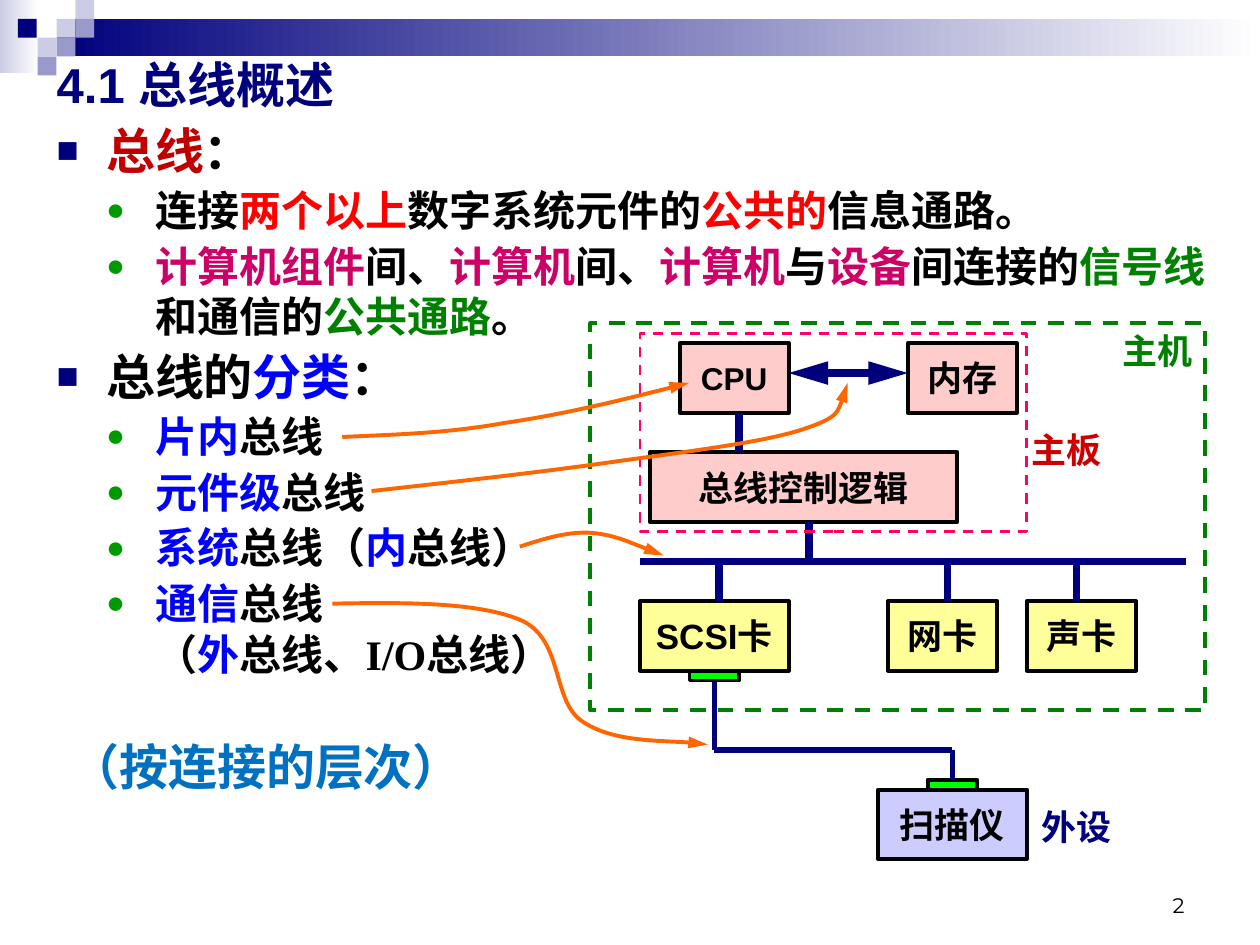
from lxml import etree
from pptx import Presentation
from pptx.dml.color import RGBColor as RGB
from pptx.enum.dml import MSO_LINE
from pptx.enum.shapes import MSO_CONNECTOR as CONN, MSO_SHAPE as SHAPE
from pptx.enum.text import MSO_ANCHOR as ANCHOR, PP_ALIGN as ALIGN
from pptx.oxml.ns import qn
from pptx.util import Cm, Pt

NAVY, LAVENDER, VIOLET = RGB(0, 0, 0x7D), RGB(0xCC, 0xCC, 0xE6), RGB(0x99, 0x99, 0xCC)
BLACK, WHITE, RED = RGB(0, 0, 0), RGB(255, 255, 255), RGB(255, 0, 0)
CRIMSON, SCARLET, MAGENTA = RGB(0xC0, 0, 0), RGB(0xCC, 0, 0), RGB(0xCC, 0, 0x66)
GREEN, DOT_GREEN, LIME = RGB(0, 0x80, 0), RGB(0, 0x99, 0), RGB(0, 255, 0)
BLUE, SKY, ORANGE = RGB(0, 0, 255), RGB(0, 0x70, 0xC0), RGB(255, 0x66, 0)
PINK, HOT_PINK = RGB(255, 0xCC, 0xCC), RGB(255, 0, 0x66)
YELLOW, PERIWINKLE = RGB(255, 255, 0x99), RGB(0xCC, 0xCC, 255)

BULLETS = [("■", NAVY, 28), ("●", DOT_GREEN, 24)]
POINTS = [
    (0, [("总线", CRIMSON), ("：", BLACK)]),
    (1, [("连接", BLACK), ("两个以上", RED), ("数字系统元件的", BLACK),
         ("公共的", RED), ("信息通路。", BLACK)]),
    (1, [("计算机组件", MAGENTA), ("间、", BLACK), ("计算机", MAGENTA), ("间、", BLACK),
         ("计算机", MAGENTA), ("与", BLACK), ("设备", MAGENTA), ("间连接的", BLACK),
         ("信号线", GREEN), ("和通信的", BLACK), ("公共通路", GREEN), ("。", BLACK)]),
    (0, [("总线的", BLACK), ("分类", BLUE), ("：", BLACK)]),
    (1, [("片内", BLUE), ("总线", BLACK)]),
    (1, [("元件级", BLUE), ("总线", BLACK)]),
    (1, [("系统", BLUE), ("总线（", BLACK), ("内", BLUE), ("总线）", BLACK)]),
    (1, [("通信", BLUE), ("总线", BLACK), None, ("（", BLACK), ("外", BLUE),
         ("总线、I/O总线）", BLACK)]),
]
POINTERS = [
    [(0.2, 1.09), (1.24, 1.04), (2.29, 1.02), (3.45, 0.81), (4.62, 0.64), (5.92, 0.33),
     (7.19, 0)],
    [(0.79, 2.18), (2.59, 1.98), (4.37, 1.78), (5.82, 1.57), (7.26, 1.37), (8.71, 1.19),
     (9.47, 0.94), (10.24, 0.69), (10.31, 0.33), (10.39, 0)],
    [(3.78, 3.3), (4.24, 3.15), (4.7, 3), (5.18, 3.02), (5.66, 3.05), (6.68, 3.48),
     (6.68, 3.48)],
    [(0, 4.45), (1.5, 4.42), (3, 4.42), (3.84, 4.8), (4.67, 5.21), (4.42, 6.43),
     (5.05, 6.83), (5.66, 7.24), (7.16, 7.21), (7.57, 7.29)],
]


def add_run(p, text, color, size, name="Arial", bold=True):
    r = p.add_run()
    r.text = text
    for key, value in {"size": Pt(size), "name": name, "bold": bold}.items():
        setattr(r.font, key, value)
    r.font.color.rgb = color


def add_rect(s, x, y, w, h, fill=None, line=None, width=2.25, dash=None):
    sp = s.shapes.add_shape(SHAPE.RECTANGLE, Cm(x), Cm(y), Cm(w), Cm(h))
    sp.shadow.inherit = False
    if fill is None:
        sp.fill.background()
    elif isinstance(fill, tuple) and not isinstance(fill, RGB):
        sp.fill.gradient()
        sp.fill.gradient_angle = 0
        for stop, color in zip(sp.fill.gradient_stops, fill):
            stop.color.rgb = color
    else:
        sp.fill.solid()
        sp.fill.fore_color.rgb = fill
    if line is None:
        sp.line.fill.background()
    else:
        sp.line.color.rgb = line
        sp.line.width = Pt(width)
        sp.line.dash_style = dash
    return sp


def add_label(s, x, y, w, h, text, color, size=20, name="Arial", bold=True,
              align=ALIGN.CENTER, anchor=ANCHOR.TOP, wrap=True):
    tf = s.shapes.add_textbox(Cm(x), Cm(y), Cm(w), Cm(h)).text_frame
    tf.word_wrap, tf.vertical_anchor = wrap, anchor
    p = tf.paragraphs[0]
    p.alignment = align
    add_run(p, text, color, size, name, bold)


def add_arrowheads(sp, *ends):
    ln = sp.line._get_or_add_ln()
    for end in ends:
        etree.SubElement(ln, qn(f"a:{end}"), type="triangle", w="med", len="lg")


def add_line(s, x1, y1, x2, y2, width=4.5):
    c = s.shapes.add_connector(CONN.STRAIGHT, Cm(x1), Cm(y1), Cm(x2), Cm(y2))
    c.line.color.rgb = NAVY
    c.line.width = Pt(width)
    etree.SubElement(c._element.spPr, qn("a:effectLst"))
    return c


def add_curve(s, points):
    start, *rest = [(Cm(x), Cm(y)) for x, y in points]
    builder = s.shapes.build_freeform(*start)
    builder.add_line_segments(rest, close=False)
    sp = builder.convert_to_shape()
    sp.shadow.inherit = False
    sp.fill.background()
    sp.line.color.rgb = ORANGE
    sp.line.width = Pt(2.25)
    add_arrowheads(sp, "tailEnd")
    segments = list(sp._element.iter(qn("a:lnTo")))
    path = segments[0].getparent()
    for i in range(0, len(segments), 3):
        bezier = etree.SubElement(path, qn("a:cubicBezTo"))
        for segment in segments[i:i + 3]:
            bezier.append(segment[0])
            path.remove(segment)


def add_banner(s, x, y, w):
    u = 0.38
    add_rect(s, x, y, 0.79, 1.47, (LAVENDER, WHITE))
    add_rect(s, x + 3 * u, y + u, w - 3 * u, 2 * u, (NAVY, WHITE))
    for col, row, color in [(3, 1, LAVENDER), (4, 0, LAVENDER), (4, 1, VIOLET),
                            (2, 2, LAVENDER), (0.95, 1, NAVY), (3, 2, VIOLET),
                            (2, 3, VIOLET)]:
        add_rect(s, x + col * u, y + row * u, u, u, color)


def add_title(s, x, y, w, h):
    sp = s.shapes.title
    for key, value in {"left": x, "top": y, "width": w, "height": h}.items():
        setattr(sp, key, Cm(value))
    tf = sp.text_frame
    tf.vertical_anchor = ANCHOR.MIDDLE
    p = tf.paragraphs[0]
    p.alignment = ALIGN.LEFT
    add_run(p, "4.1 总线概述", NAVY, 28)


def add_bullet(p, level, char, color):
    pPr = p._p.get_or_add_pPr()
    pPr.set("marL", str(Cm(level + 1)))
    pPr.set("indent", str(-Cm(1)))
    clr = etree.SubElement(pPr, qn("a:buClr"))
    etree.SubElement(clr, qn("a:srgbClr"), val=str(color))
    etree.SubElement(pPr, qn("a:buSzPct"), val="75000")
    etree.SubElement(pPr, qn("a:buFont"), typeface="Arial")
    etree.SubElement(pPr, qn("a:buChar"), char=char)


def add_points(s, x, y, w, h):
    tf = s.shapes.add_textbox(Cm(x), Cm(y), Cm(w), Cm(h)).text_frame
    tf.word_wrap = True
    for i, (level, runs) in enumerate(POINTS):
        p = tf.add_paragraph() if i else tf.paragraphs[0]
        char, color, size = BULLETS[level]
        p.level = level
        add_bullet(p, level, char, color)
        p.space_before = Pt(3 if i else 0)
        for run in runs:
            if run is None:
                p.add_line_break()
            else:
                add_run(p, *run, size, "Times New Roman")


def add_diagram(s, x, y, w, h):
    for text, left, top, width, fill, size in [
            ("CPU", 1.8, 0.4, 2.2, PINK, 18), ("内存", 6.4, 0.4, 2.2, PINK, 20),
            ("总线控制逻辑", 1.2, 2.6, 6.2, PINK, 20),
            ("扫描仪", 5.8, 9.4, 3, PERIWINKLE, 20),
            ("网卡", 6, 5.6, 2.2, YELLOW, 20), ("声卡", 8.8, 5.6, 2.2, YELLOW, 20),
            ("SCSI卡", 1, 5.6, 3, YELLOW, 20)]:
        tf = add_rect(s, x + left, y + top, width, 1.4, fill, BLACK).text_frame
        tf.word_wrap, tf.vertical_anchor = False, ANCHOR.MIDDLE
        tf.paragraphs[0].alignment = ALIGN.CENTER
        add_run(tf.paragraphs[0], text, BLACK, size)
    add_line(s, x + 1, y + 4.8, x + 12, y + 4.8)
    link = add_line(s, x + 4, y + 1, x + 6.4, y + 1)
    add_arrowheads(link, "headEnd", "tailEnd")
    for left, top, bottom in [(3, 1.8, 2.6), (4.4, 4, 4.8), (2.6, 4.8, 5.6),
                              (7.2, 4.8, 5.6), (9.8, 4.8, 5.6)]:
        add_line(s, x + left, y + top, x + left, y + bottom)
    for left, top in [(2, 7), (6.8, 9.2)]:
        add_rect(s, x + left, y + top, 1, 0.2, LIME, BLACK)
    add_rect(s, x, y, w, h, line=GREEN, dash=MSO_LINE.DASH)
    cable = [(2.5, 7.2), (2.5, 8.6), (7.3, 8.6), (7.3, 9.2)]
    for (x1, y1), (x2, y2) in zip(cable, cable[1:]):
        add_line(s, x + x1, y + y1, x + x2, y + y2, 3)
    add_rect(s, x + 1, y + 0.2, 7.8, 4, line=HOT_PINK, width=1.5, dash=MSO_LINE.DASH)
    for text, left, top, color, align in [("主板", 8.4, 2, SCARLET, ALIGN.CENTER),
                                          ("主机", 10, 0, GREEN, ALIGN.RIGHT),
                                          ("外设", 8.6, 9.6, NAVY, ALIGN.CENTER)]:
        add_label(s, x + left, y + top, 2.4, 1.1, text, color, align=align)


def add_pointers(s, x, y):
    for points in POINTERS:
        add_curve(s, [(x + px, y + py) for px, py in points])


def main():
    prs = Presentation()
    prs.slide_width, prs.slide_height = Cm(25.4), Cm(19.05)
    s = prs.slides.add_slide(prs.slide_layouts[5])
    add_banner(s, 0, 0, 25.4)
    add_title(s, 0.89, 1.07, 24, 1.24)
    add_points(s, 0.89, 2.31, 24, 16)
    add_diagram(s, 11.9, 6.52, 12.4, 7.8)
    add_pointers(s, 6.7, 7.72)
    add_label(s, 1.17, 14.73, 8.53, 1.45, "（按连接的层次）", SKY, 28,
              "Times New Roman", align=ALIGN.LEFT, wrap=False)
    add_label(s, 18.21, 17.73, 5.92, 0.89, "2", BLACK, 12, "Montserrat", False,
              ALIGN.RIGHT, ANCHOR.BOTTOM)
    prs.save("out.pptx")


if __name__ == "__main__":
    main()
